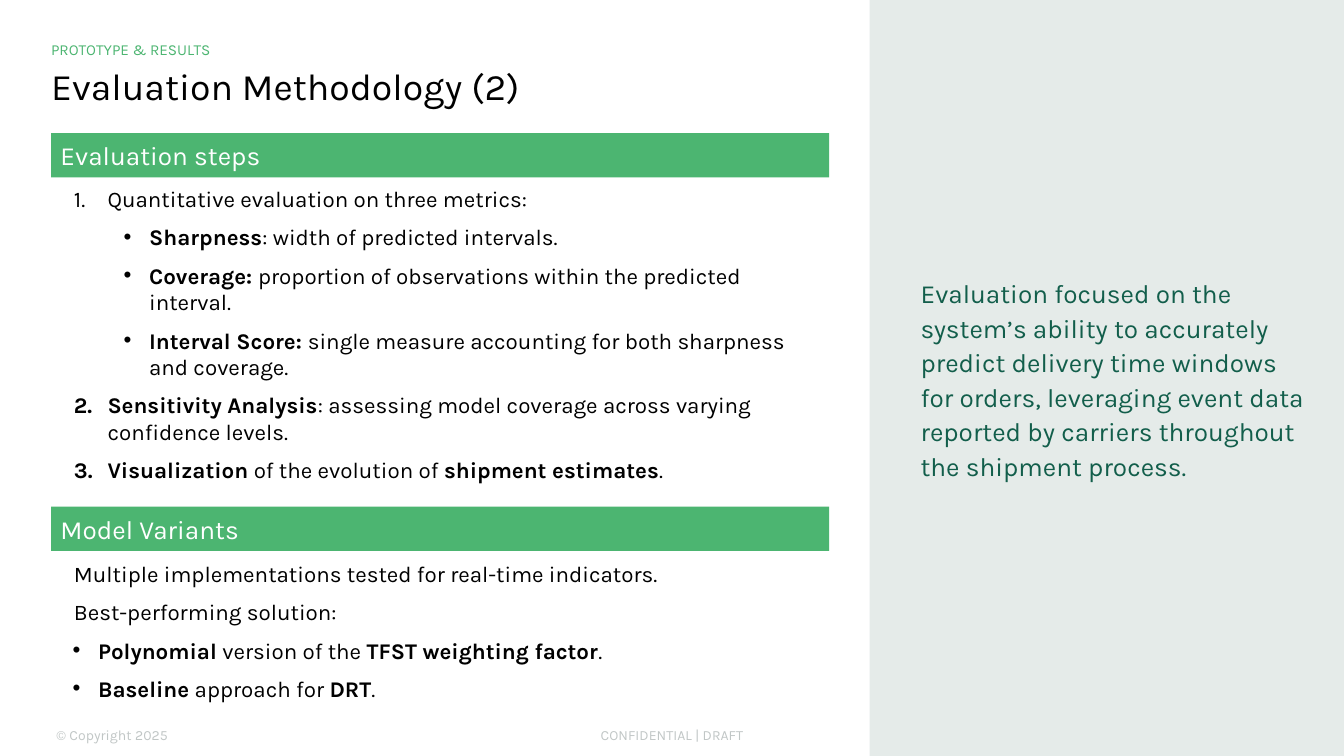
import pptx
import pptx.util
import pptx.dml.color
import pptx.enum.shapes
import pptx.enum.text
import pptx.oxml
import pptx.oxml.ns
from pptx.util import Inches

RGBColor = pptx.dml.color.RGBColor
BLACK = RGBColor(0x00, 0x00, 0x00)
WHITE = RGBColor(0xFF, 0xFF, 0xFF)
GREEN = RGBColor(0x4C, 0xB5, 0x71)
DARK_GREEN = RGBColor(0x12, 0x5E, 0x4B)
PALE_GREEN = RGBColor(0xE5, 0xEB, 0xE9)
GREY = RGBColor(0x83, 0x8E, 0x8D)

FONT = "Karla"
SLIDE_WIDTH = 10
SLIDE_HEIGHT = SLIDE_WIDTH * 9 / 16
LEFT, COLUMN_WIDTH = 0.38, 5.79
ALIGN = pptx.enum.text.PP_ALIGN
ANCHOR = pptx.enum.text.MSO_ANCHOR
NUMBER = '<a:buAutoNum {} type="arabicPeriod"/>'
BULLET = '<a:buChar {} char="•"/>'

# Paragraph styles: level, left margin, first-line indent, marker
NUMBERED = (0, 0.35, -0.25, NUMBER)
SUB_BULLET = (1, 0.66, -0.19, BULLET)
PLAIN = (0, 0.1, 0, None)
BULLETED = (0, 0.28, -0.19, BULLET)

# Text between ** marks is bold
STEPS = [
    (NUMBERED, "Quantitative evaluation on three metrics:"),
    (SUB_BULLET, "**Sharpness**: width of predicted intervals."),
    (SUB_BULLET, "**Coverage: **proportion of observations within the predicted interval."),
    (SUB_BULLET, "**Interval Score: **single measure accounting for both sharpness and coverage."),
    (NUMBERED, "**Sensitivity Analysis**: assessing model coverage across varying confidence levels."),
    (NUMBERED, "**Visualization** of the evolution of **shipment estimates**."),
]
VARIANTS = [
    (PLAIN, "Multiple implementations tested for real-time indicators."),
    (PLAIN, "Best-performing solution:"),
    (BULLETED, "**Polynomial** version of the **TFST weighting factor**."),
    (BULLETED, "**Baseline** approach for **DRT**."),
]


def set_frame(frame, insets, anchor=ANCHOR.MIDDLE):
    frame.word_wrap = True
    frame.vertical_anchor = anchor
    (frame.margin_left, frame.margin_top,
     frame.margin_right, frame.margin_bottom) = map(Inches, insets)


def add_runs(paragraph, text, size, color):
    for index, part in enumerate(text.split("**")):
        if part:
            run = paragraph.add_run()
            run.text = part
            run.font.name = FONT
            run.font.size = pptx.util.Pt(size)
            run.font.bold = index % 2 == 1
            run.font.color.rgb = color


def add_line(slide, box, text, size, color, insets, align=ALIGN.LEFT):
    label = slide.shapes.add_textbox(*map(Inches, box))
    set_frame(label.text_frame, insets)
    paragraph = label.text_frame.paragraphs[0]
    paragraph.alignment = align
    add_runs(paragraph, text, size, color)
    return paragraph


def add_footer(slide, box, text, align):
    paragraph = add_line(slide, box, text, 7.5, GREY, [0.04] * 4, align)
    # Half-transparent text
    for color in paragraph.runs[0].font._element.iter(pptx.oxml.ns.qn("a:srgbClr")):
        color.append(pptx.oxml.parse_xml(
            f'<a:alpha {pptx.oxml.ns.nsdecls("a")} val="50000"/>'))


def add_panel(slide, box, fill, text, size, color, insets):
    panel = slide.shapes.add_shape(
        pptx.enum.shapes.MSO_SHAPE.RECTANGLE, *map(Inches, box))
    panel.shadow.inherit = False
    panel.fill.solid()
    panel.fill.fore_color.rgb = fill
    panel.line.fill.background()
    set_frame(panel.text_frame, insets)
    paragraph = panel.text_frame.paragraphs[0]
    paragraph.alignment = ALIGN.LEFT
    add_runs(paragraph, text, size, color)
    return paragraph


def set_marker(paragraph, level, margin, indent, marker):
    paragraph.level = level
    properties = paragraph._p.get_or_add_pPr()
    properties.set("marL", str(Inches(margin)))
    properties.set("indent", str(Inches(indent)))
    if marker:
        namespace = pptx.oxml.ns.nsdecls("a")
        properties.append(pptx.oxml.parse_xml(
            f'<a:buClr {namespace}><a:srgbClr val="{BLACK}"/></a:buClr>'))
        if marker == BULLET:
            properties.append(pptx.oxml.parse_xml(
                f'<a:buFont {namespace} typeface="Arial"/>'))
        properties.append(pptx.oxml.parse_xml(marker.format(namespace)))


def add_body(slide, top, height, items):
    body = slide.shapes.add_textbox(*map(Inches, (LEFT, top, COLUMN_WIDTH, height)))
    frame = body.text_frame
    set_frame(frame, (0.07, 0.07, 0.07, 0), ANCHOR.TOP)
    for index, (style, text) in enumerate(items):
        paragraph = frame.add_paragraph() if index else frame.paragraphs[0]
        set_marker(paragraph, *style)
        paragraph.space_after = pptx.util.Pt(6)
        add_runs(paragraph, text, 12, BLACK)


def add_heading(slide, top, text):
    add_panel(slide, (LEFT, top, COLUMN_WIDTH, 0.33), GREEN, text, 14, WHITE,
              (0.07, 0.04, 0.07, 0.04))


def main():
    deck = pptx.Presentation()
    deck.slide_width, deck.slide_height = Inches(SLIDE_WIDTH), Inches(SLIDE_HEIGHT)
    slide = deck.slides.add_slide(deck.slide_layouts[6])

    # Footer
    add_footer(slide, (3.31, 5.36, 3.38, 0.21), "CONFIDENTIAL | DRAFT", ALIGN.CENTER)
    add_footer(slide, (LEFT, 5.36, 2.97, 0.21), "© Copyright 2025", ALIGN.LEFT)

    # Title and section label
    title = add_line(slide, (LEFT, 0.45, 9.25, 0.41), "Evaluation Methodology (2)",
                     20, BLACK, (0, 0.04, 0, 0.04))
    title.line_spacing = 0.9
    add_line(slide, (LEFT, 0.28, 9.25, 0.17), "PROTOTYPE & RESULTS",
             8.2, GREEN, (0, 0, 0.07, 0))

    # Evaluation steps
    add_body(slide, 1.31, 2.18, STEPS)

    # Side panel
    summary = add_panel(
        slide, (6.47, 0, 3.53, SLIDE_HEIGHT), PALE_GREEN,
        "Evaluation focused on the system’s ability to accurately predict delivery "
        "time windows for orders, leveraging event data reported by carriers "
        "throughout the shipment process.",
        14, DARK_GREEN, (0.38, 0.07, 0.27, 0.07))
    summary.line_spacing = 1.1

    # Model variants
    add_body(slide, 4.1, 1.25, VARIANTS)

    # Section headings
    add_heading(slide, 3.77, "Model Variants")
    add_heading(slide, 0.99, "Evaluation steps")

    deck.save("out.pptx")


if __name__ == "__main__":
    main()
